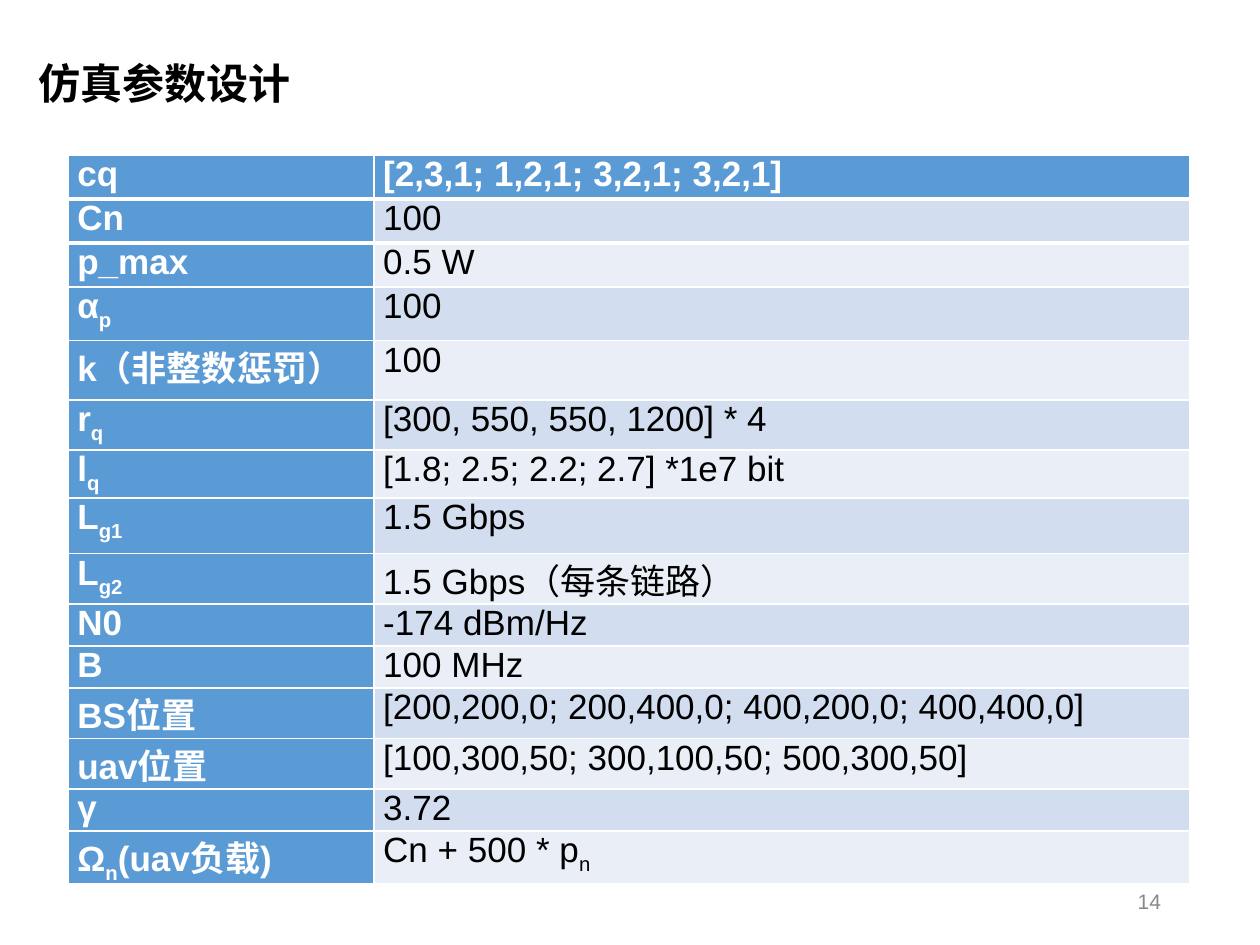
"""Build a slide with a table of simulation parameters."""
from dataclasses import dataclass

from lxml.etree import SubElement as Sub
from pptx import Presentation
from pptx.dml.color import RGBColor as Rgb
from pptx.enum.text import MSO_ANCHOR as Anchor, PP_ALIGN as Align
from pptx.oxml.ns import qn
from pptx.util import Pt


@dataclass(frozen=True)
class Theme:
    font: str = "Arial"
    title: int = 24
    body: int = 20
    note: int = 12
    ink: str = "000000"
    grey: str = "898989"
    white: str = "FFFFFF"
    head: str = "5B9BD5"
    bands: tuple = ("EAEFF7", "D2DEEF")


class Page:
    def __init__(self, slide, theme):
        self.slide, self.theme = slide, theme

    def style(self, run, size, color, bold=False):
        font = run.font
        font.name, font.size, font.bold = self.theme.font, Pt(size), bold
        font.color.rgb = Rgb.from_string(color)

    def label(self, text, box, size, color, align, bold=False):
        frame = self.slide.shapes.add_textbox(*map(Pt, box)).text_frame
        frame.word_wrap = True
        frame.vertical_anchor = Anchor.MIDDLE
        frame.text = text
        para = frame.paragraphs[0]
        para.alignment = align
        self.style(para.runs[0], size, color, bold)

    def edge(self, cell, side, width):
        line = Sub(cell._tc.get_or_add_tcPr(), qn(f"a:ln{side}"), w=str(Pt(width)))
        Sub(Sub(line, qn("a:solidFill")), qn("a:srgbClr"), val=self.theme.white)

    def cell(self, cell, text, fill, color, bold):
        cell.margin_left = cell.margin_right = Pt(5.2)
        cell.margin_top = cell.margin_bottom = 0
        cell.fill.solid()
        cell.fill.fore_color.rgb = Rgb.from_string(fill)
        para = cell.text_frame.paragraphs[0]
        for i, part in enumerate(text.split("~")):
            if part:
                run = para.add_run()
                run.text = part
                self.style(run, self.theme.body, color, bold)
                if i % 2:
                    run.font._element.set("baseline", "-25000")

    def table(self, rows, box, widths):
        theme = self.theme
        shape = self.slide.shapes.add_table(len(rows), len(widths), *map(Pt, box))
        table = shape.table
        table.first_col = True
        for col, width in zip(table.columns, widths):
            col.width = Pt(width)
        for r, (high, *texts) in enumerate(rows):
            table.rows[r].height = Pt(high)
            for c, text in enumerate(texts):
                cell = table.cell(r, c)
                if r < 2:
                    self.edge(cell, "BT"[r], 3)
                head = r == 0 or c == 0
                fill = theme.head if head else theme.bands[r % 2]
                color = theme.white if head else theme.ink
                self.cell(cell, text, fill, color, head)


ROWS = [
    (25.2, "cq", "[2,3,1; 1,2,1; 3,2,1; 3,2,1]"),
    (25.2, "Cn", "100"),
    (25.2, "p_max", "0.5 W"),
    (30.4, "α~p~", "100"),
    (34, "k（非整数惩罚）", "100"),
    (28.8, "r~q~", "[300, 550, 550, 1200] * 4"),
    (27.4, "l~q~", "[1.8; 2.5; 2.2; 2.7] *1e7 bit"),
    (31.7, "L~g1~", "1.5 Gbps"),
    (28.8, "L~g2~", "1.5 Gbps（每条链路）"),
    (23.8, "N0", "-174 dBm/Hz"),
    (23.8, "B", "100 MHz"),
    (28.8, "BS位置", "[200,200,0; 200,400,0; 400,200,0; 400,400,0]"),
    (28.8, "uav位置", "[100,300,50; 300,100,50; 500,300,50]"),
    (23.8, "γ", "3.72"),
    (30.4, "Ω~n~(uav负载)", "Cn + 500 * p~n~"),
]


def main():
    deck = Presentation()
    deck.slide_width, deck.slide_height = Pt(720), Pt(540)
    theme = Theme()
    page = Page(deck.slides.add_slide(deck.slide_layouts[6]), theme)
    page.label("仿真参数设计", (-59.5, 29.5, 307, 35.5), theme.title, theme.ink,
               Align.CENTER, True)
    page.table(ROWS, (39, 88.5, 641, 416), (174.8, 466.2))
    page.label("14", (508.5, 500.5, 162, 28.8), theme.note, theme.grey, Align.RIGHT)
    deck.save("out.pptx")


if __name__ == "__main__":
    main()
